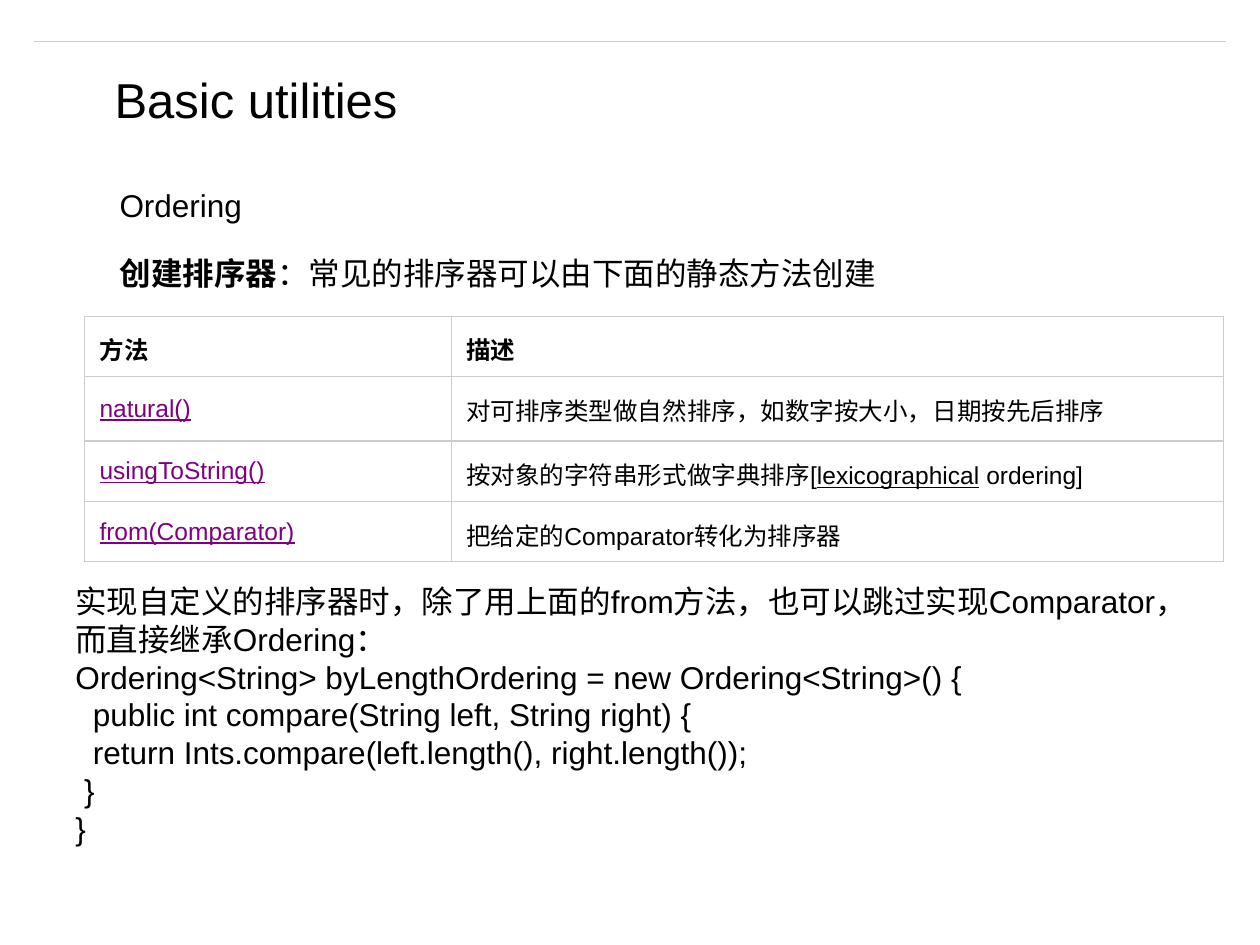
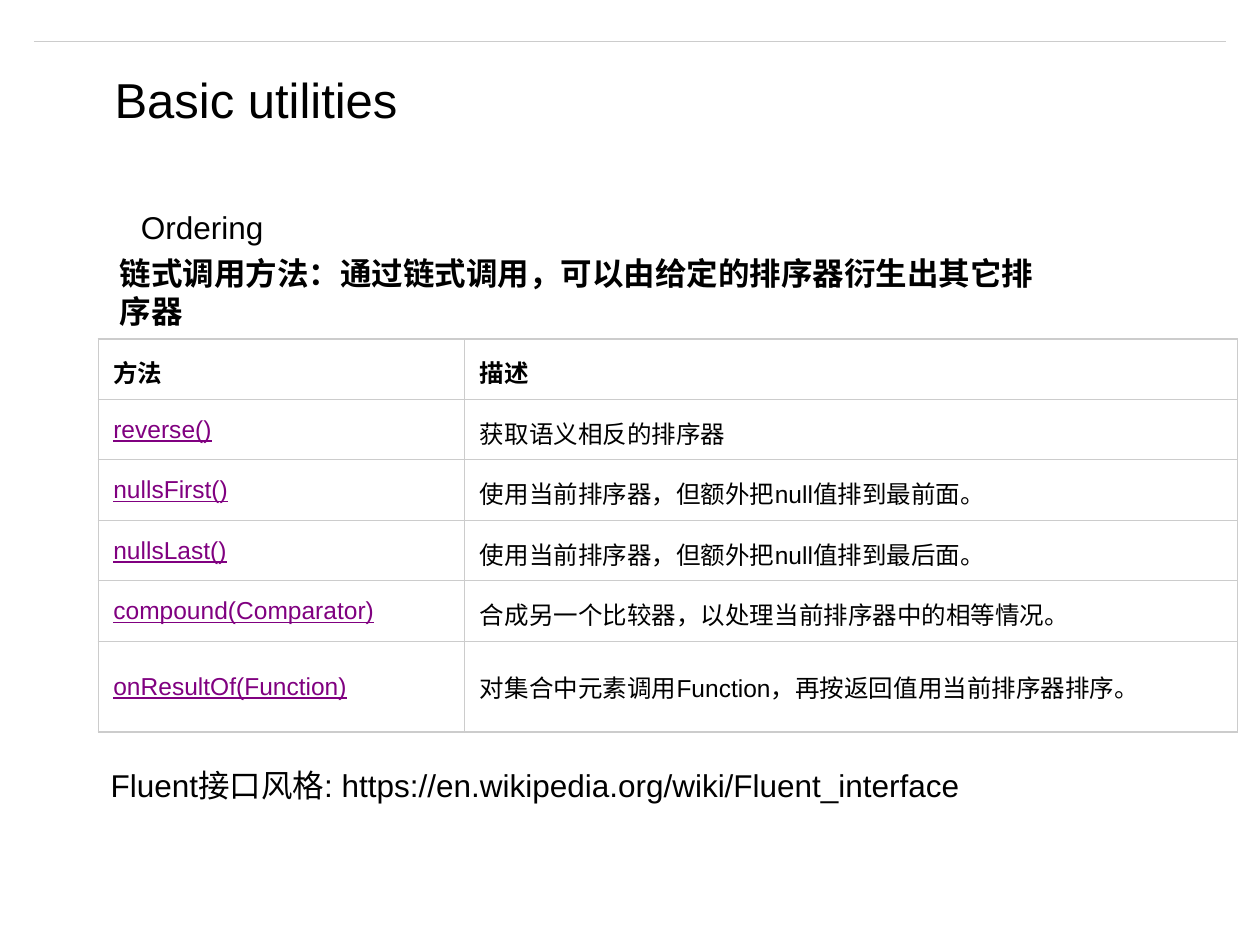
from lxml import etree
from pptx import Presentation
from pptx.dml.color import RGBColor
from pptx.enum.shapes import MSO_CONNECTOR
from pptx.enum.text import MSO_ANCHOR, MSO_AUTO_SIZE, PP_ALIGN
from pptx.oxml import parse_xml
from pptx.oxml.ns import nsdecls, qn
from pptx.util import Inches, Pt

STRAIGHT = MSO_CONNECTOR.STRAIGHT
TOP, MIDDLE = MSO_ANCHOR.TOP, MSO_ANCHOR.MIDDLE
LEFT = PP_ALIGN.LEFT
NO_AUTOFIT = MSO_AUTO_SIZE.NONE

# Shared style
FONT = "Arial"
INK, METHOD_INK, RULE = "000000", "800080", "CCCCCC"
TITLE_SIZE, BODY_SIZE, TABLE_SIZE = 28, 18, 14
COLUMN_WIDTHS = (2.91, 6.13)
CELL_MARGIN = 0.12
ROW_HEIGHT = 0.48

# Content: a paragraph is a list of (text, style) pieces
PLAIN, BOLD, UNDERLINED = {}, {"bold": True}, {"underline": True}
TITLE = "Basic utilities"
HEADER = ("方法", "描述")

SLIDES = [
    {
        "texts": [
            ((0.85, 1.43, 7.69, 0.4), [[("Ordering", PLAIN)]]),
            ((0.85, 1.97, 7.69, 0.4), [[
                ("创建排序器", BOLD),
                ("：常见的排序器可以由下面的静态方法创建", PLAIN)]]),
            ((0.5, 4.57, 9.04, 2.22), [[(line, PLAIN)] for line in (
                "实现自定义的排序器时，除了用上面的from方法，也可以跳过实现"
                "Comparator，而直接继承Ordering：",
                "Ordering<String> byLengthOrdering = new Ordering<String>() {",
                "  public int compare(String left, String right) {",
                "  return Ints.compare(left.length(), right.length());",
                " }",
                "}")]),
        ],
        "table_at": (0.67, 2.51),
        "row_heights": {1: 0.51},
        "methods": [
            ("natural()", [("对可排序类型做自然排序，如数字按大小，日期按先后排序", PLAIN)]),
            ("usingToString()", [("按对象的字符串形式做字典排序[", PLAIN),
                                 ("lexicographical", UNDERLINED),
                                 (" ordering]", PLAIN)]),
            ("from(Comparator)", [("把给定的Comparator转化为排序器", PLAIN)]),
        ],
    },
    {
        "texts": [
            ((1.02, 1.6, 7.69, 0.4), [[("Ordering", PLAIN)]]),
            ((0.85, 1.97, 7.69, 0.71), [[
                ("链式调用方法：通过链式调用，可以由给定的排序器衍生出其它排序器", BOLD)]]),
            ((0.78, 6.03, 7.69, 0.4), [[
                ("Fluent接口风格: https://en.wikipedia.org/wiki/Fluent_interface", PLAIN)]]),
        ],
        "table_at": (0.78, 2.69),
        "row_heights": {5: 0.72},
        "methods": [
            ("reverse()", [("获取语义相反的排序器", PLAIN)]),
            ("nullsFirst()", [("使用当前排序器，但额外把null值排到最前面。", PLAIN)]),
            ("nullsLast()", [("使用当前排序器，但额外把null值排到最后面。", PLAIN)]),
            ("compound(Comparator)", [("合成另一个比较器，以处理当前排序器中的相等情况。", PLAIN)]),
            ("onResultOf(Function)", [("对集合中元素调用Function，再按返回值用当前排序器排序。", PLAIN)]),
        ],
    },
]


def rgb(value):
    return RGBColor.from_string(value)


def write(frame, paragraphs, size, color=INK):
    """Fill a text frame with paragraphs of styled pieces."""
    for index, pieces in enumerate(paragraphs):
        paragraph = frame.paragraphs[0] if index == 0 else frame.add_paragraph()
        paragraph.alignment = LEFT
        for text, style in pieces:
            run = paragraph.add_run()
            run.text = text
            font = run.font
            font.name, font.size = FONT, Pt(size)
            font.color.rgb = rgb(color)
            font.bold = style.get("bold", False)
            font.underline = style.get("underline", False)


def add_frame(slide):
    """Top rule and title, the same on every slide."""
    rule = slide.shapes.add_connector(
        STRAIGHT, Inches(0.27), Inches(0.33), Inches(9.73), Inches(0.33))
    rule.line.color.rgb = rgb(RULE)
    rule.line.width = Pt(0.75)
    etree.SubElement(rule._element.spPr, qn("a:effectLst"))

    title = slide.shapes.title
    title.left, title.top, title.width, title.height = map(Inches, (0.81, 0.5, 2.47, 0.57))
    frame = title.text_frame
    frame.word_wrap, frame.auto_size = False, NO_AUTOFIT
    frame.vertical_anchor = TOP
    write(frame, [[(TITLE, PLAIN)]], TITLE_SIZE)


def add_text(slide, box, paragraphs):
    frame = slide.shapes.add_textbox(*map(Inches, box)).text_frame
    frame.word_wrap = True
    write(frame, paragraphs, BODY_SIZE)


def style_cell(cell):
    cell.vertical_anchor = MIDDLE
    cell.margin_left = cell.margin_right = Inches(CELL_MARGIN)
    cell.margin_top = cell.margin_bottom = Inches(CELL_MARGIN)
    cell.fill.background()
    properties = cell._tc.get_or_add_tcPr()
    for index, side in enumerate("LRTB"):
        properties.insert(index, parse_xml(
            f'<a:ln{side} {nsdecls("a")} w="{Pt(0.75)}"><a:solidFill>'
            f'<a:srgbClr val="{RULE}"/></a:solidFill></a:ln{side}>'))


def add_methods(slide, position, methods, row_heights):
    rows = [([(HEADER[0], BOLD)], [(HEADER[1], BOLD)])]
    rows += [([(method, UNDERLINED)], description) for method, description in methods]
    heights = [row_heights.get(index, ROW_HEIGHT) for index in range(len(rows))]
    table = slide.shapes.add_table(
        len(rows), len(COLUMN_WIDTHS), *map(Inches, position),
        Inches(sum(COLUMN_WIDTHS)), Inches(sum(heights))).table
    table.first_row = table.horz_banding = False
    for column, width in zip(table.columns, COLUMN_WIDTHS):
        column.width = Inches(width)
    for row_index, (row, height) in enumerate(zip(rows, heights)):
        table.rows[row_index].height = Inches(height)
        for column_index, pieces in enumerate(row):
            cell = table.cell(row_index, column_index)
            style_cell(cell)
            is_method = row_index > 0 and column_index == 0
            write(cell.text_frame, [pieces], TABLE_SIZE, METHOD_INK if is_method else INK)


def main():
    deck = Presentation()
    deck.slide_width, deck.slide_height = Inches(10), Inches(7.5)
    title_only = deck.slide_layouts[5]
    for content in SLIDES:
        slide = deck.slides.add_slide(title_only)
        add_frame(slide)
        for box, paragraphs in content["texts"]:
            add_text(slide, box, paragraphs)
        add_methods(slide, content["table_at"], content["methods"], content["row_heights"])
    deck.save("out.pptx")


if __name__ == "__main__":
    main()
